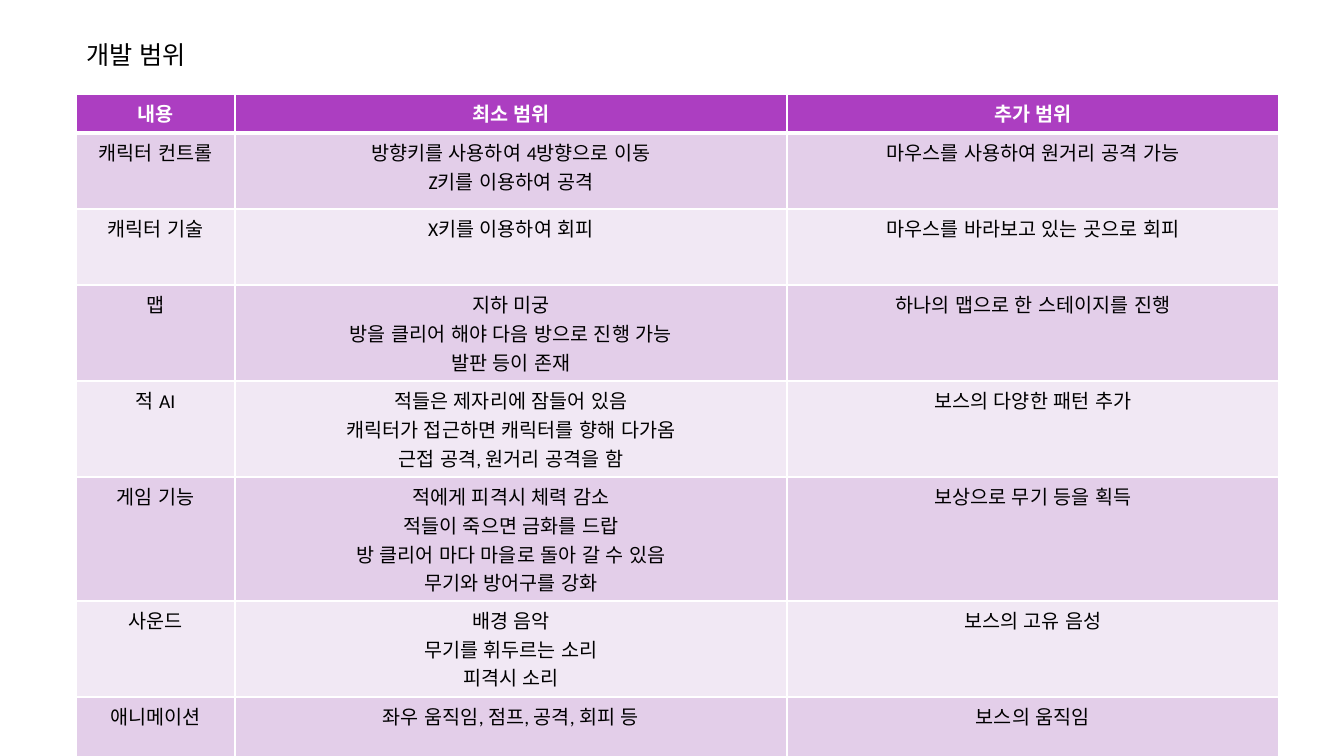
from dataclasses import dataclass

from lxml import etree
from pptx import Presentation
from pptx import util as u
from pptx.dml.color import RGBColor
from pptx.enum import lang, text
from pptx.oxml import ns

TITLE = "개발 범위"
HEADER = ("내용", "최소 범위", "추가 범위")
# (height in px, cells); each line of a cell is a paragraph
ROWS = [
    (76, ("캐릭터 컨트롤", "방향키를 사용하여 4방향으로 이동\nZ키를 이용하여 공격",
          "마우스를 사용하여 원거리 공격 가능")),
    (76, ("캐릭터 기술", "X키를 이용하여 회피", "마우스를 바라보고 있는 곳으로 회피")),
    (96, ("맵", "지하 미궁\n방을 클리어 해야 다음 방으로 진행 가능\n발판 등이 존재",
          "하나의 맵으로 한 스테이지를 진행")),
    (96, ("적 AI", "적들은 제자리에 잠들어 있음\n캐릭터가 접근하면 캐릭터를 향해 다가옴\n"
          "근접 공격, 원거리 공격을 함", "보스의 다양한 패턴 추가")),
    (124, ("게임 기능", "적에게 피격시 체력 감소\n적들이 죽으면 금화를 드랍\n"
           "방 클리어 마다 마을로 돌아 갈 수 있음\n무기와 방어구를 강화",
           "보상으로 무기 등을 획득")),
    (96, ("사운드", "배경 음악\n무기를 휘두르는 소리\n피격시 소리", "보스의 고유 음성")),
    (76, ("애니메이션", "좌우 움직임, 점프, 공격, 회피 등", "보스의 움직임")),
]
SLIDE = (1344, 756)
LEFT = 76
TITLE_TOP, TITLE_WIDTH, TITLE_HEIGHT = 34, 596, 40
TABLE_TOP, HEADER_HEIGHT = 94, 39
COLUMNS = (159, 552, 492)


@dataclass(frozen=True)
class Theme:
    font: str = "Calibri"
    title_size: int = 18
    table_size: int = 14
    ink: str = "000000"
    header_ink: str = "FFFFFF"
    header: str = "AC3EC1"
    bands: tuple = ("E3CEE9", "F1E8F4")
    border: str = "FFFFFF"
    border_width: int = 1
    header_rule: int = 3


THEME = Theme()


def px(n):
    return u.Emu(round(n * 914400 / 100.8))


def style_text(tf, size, color, align, bold=False):
    for p in tf.paragraphs:
        p.alignment = align
        p.font.name = THEME.font
        p.font.size = u.Pt(size)
        p.font.bold = bold
        p.font.color.rgb = RGBColor.from_string(color)
        for r in p.runs:
            r.font.language_id = lang.MSO_LANGUAGE_ID.KOREAN


def set_borders(cell, top, bottom):
    """Draw all four cell edges; they must precede the fill in tcPr."""
    widths = {"L": THEME.border_width, "R": THEME.border_width, "T": top, "B": bottom}
    tc_pr = cell._tc.get_or_add_tcPr()
    for i, (side, width) in enumerate(widths.items()):
        line = etree.Element(ns.qn(f"a:ln{side}"), w=str(u.Pt(width)))
        fill = etree.SubElement(line, ns.qn("a:solidFill"))
        etree.SubElement(fill, ns.qn("a:srgbClr"), val=THEME.border)
        tc_pr.insert(i, line)


def add_title(s):
    sp = s.shapes.title
    sp.left, sp.top = px(LEFT), px(TITLE_TOP)
    sp.width, sp.height = px(TITLE_WIDTH), px(TITLE_HEIGHT)
    tf = sp.text_frame
    tf.text = TITLE
    tf.word_wrap = True
    tf.auto_size = text.MSO_AUTO_SIZE.SHAPE_TO_FIT_TEXT
    tf.vertical_anchor = text.MSO_ANCHOR.TOP
    style_text(tf, THEME.title_size, THEME.ink, text.PP_ALIGN.LEFT)


def add_scope_table(s):
    rows = [(HEADER_HEIGHT, HEADER), *ROWS]
    height = sum(h for h, _ in rows)
    table = s.shapes.add_table(len(rows), len(COLUMNS), px(LEFT), px(TABLE_TOP),
                               px(sum(COLUMNS)), px(height)).table
    for column, width in zip(table.columns, COLUMNS):
        column.width = px(width)
    for i, (row_height, values) in enumerate(rows):
        table.rows[i].height = px(row_height)
        is_header = i == 0
        fill = THEME.header if is_header else THEME.bands[(i - 1) % 2]
        ink = THEME.header_ink if is_header else THEME.ink
        top = THEME.header_rule if i == 1 else THEME.border_width
        bottom = THEME.header_rule if is_header else THEME.border_width
        for cell, value in zip(table.rows[i].cells, values):
            cell.text = value
            cell.fill.solid()
            cell.fill.fore_color.rgb = RGBColor.from_string(fill)
            set_borders(cell, top, bottom)
            style_text(cell.text_frame, THEME.table_size, ink,
                       text.PP_ALIGN.CENTER, is_header)


def main():
    prs = Presentation()
    prs.slide_width, prs.slide_height = map(px, SLIDE)
    s = prs.slides.add_slide(prs.slide_layouts.get_by_name("Title Only"))
    add_scope_table(s)
    add_title(s)
    prs.save("out.pptx")


if __name__ == "__main__":
    main()
